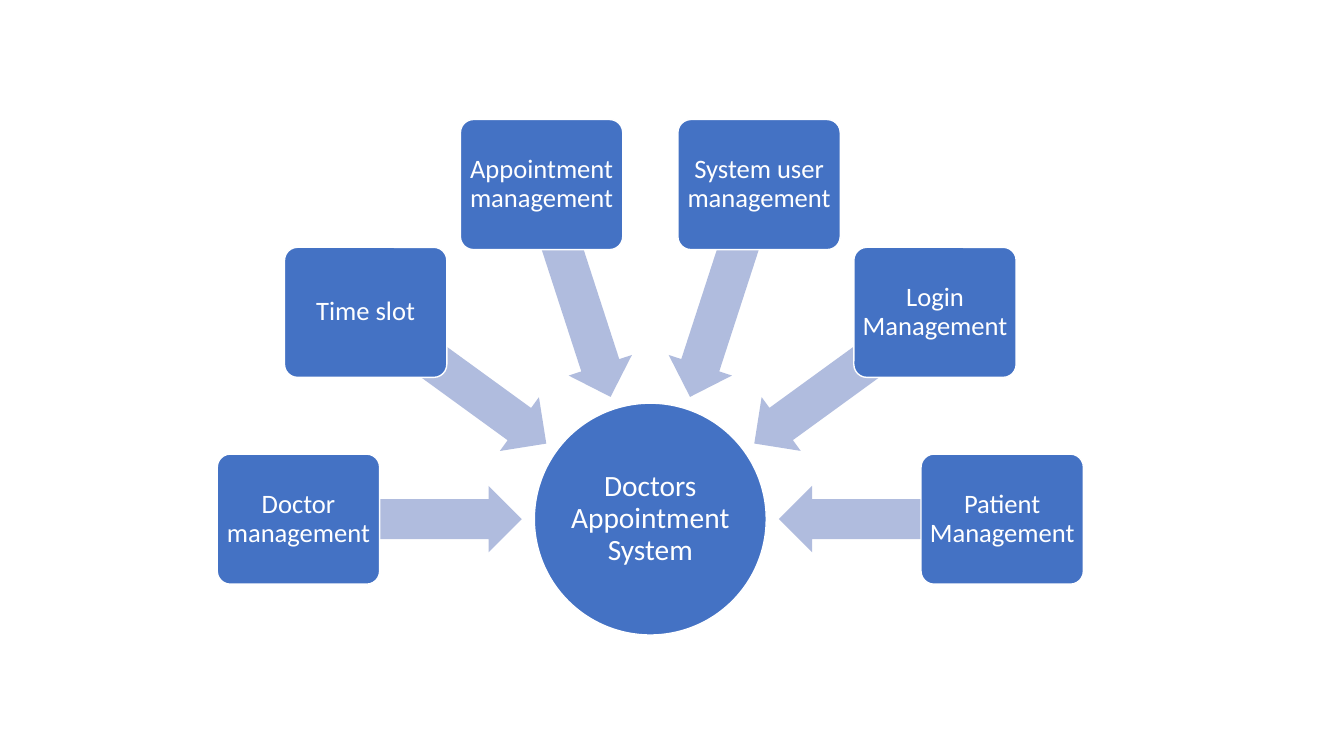
"""Build a slide of six modules pointing at the doctors appointment system."""
from math import cos, radians, sin

from pptx import Presentation
from pptx import util as u
from pptx.dml import color
from pptx.enum import shapes, text

HUB_X, HUB_Y = 6.45, 5.15
MODULE_RADIUS, ARROW_RADIUS = 3.49, 2.38
MODULES = ["Doctor management", "Time slot", "Appointment management",
           "System user management", "Login Management", "Patient Management"]
START_ANGLE, STEP_ANGLE = 180, 36


def rgb(value):
    return color.RGBColor.from_string(value)


def apply(target, values):
    for name, value in values.items():
        setattr(target, name, value)


def around_hub(radius, angle):
    return (HUB_X + radius * cos(radians(angle)),
            HUB_Y + radius * sin(radians(angle)))


class Diagram:
    blue, pale, white = "4472C4", "B0BCDE", "FFFFFF"
    font = "Calibri"

    def __init__(self, slide):
        self.cycle = slide.shapes.add_group_shape()

    def figure(self, kind, centre, size, fill, adjustments=()):
        (x, y), (width, height) = centre, size
        figure = self.cycle.shapes.add_shape(
            kind, u.Inches(x - width / 2), u.Inches(y - height / 2),
            u.Inches(width), u.Inches(height))
        figure.shadow.inherit = False
        figure.fill.solid()
        figure.fill.fore_color.rgb = rgb(fill)
        for index, value in enumerate(adjustments):
            figure.adjustments[index] = value
        return figure

    def label(self, figure, wording, size, inset):
        figure.line.color.rgb = rgb(self.white)
        figure.line.width = u.Pt(1)
        frame = figure.text_frame
        margin = u.Inches(inset)
        apply(frame, {"text": wording, "word_wrap": True,
                      "vertical_anchor": text.MSO_ANCHOR.MIDDLE,
                      "margin_left": margin, "margin_right": margin,
                      "margin_top": margin, "margin_bottom": margin})
        paragraph = frame.paragraphs[0]
        apply(paragraph, {"alignment": text.PP_ALIGN.CENTER, "line_spacing": 0.9})
        font = paragraph.runs[0].font
        apply(font, {"name": self.font, "size": u.Pt(size)})
        font.color.rgb = rgb(self.white)

    def hub(self, wording):
        circle = self.figure(shapes.MSO_SHAPE.OVAL, (HUB_X, HUB_Y), (2.3, 2.3), self.blue)
        self.label(circle, wording, 21, 0.01)

    def arrow(self, angle):
        arrow = self.figure(shapes.MSO_SHAPE.LEFT_ARROW, around_hub(ARROW_RADIUS, angle),
                            (2.21, 0.66), self.pale, (0.6, 0.5))
        arrow.line.fill.background()
        arrow.rotation = angle % 360

    def module(self, wording, angle):
        box = self.figure(shapes.MSO_SHAPE.ROUNDED_RECTANGLE,
                          around_hub(MODULE_RADIUS, angle), (1.61, 1.29), self.blue, (0.1,))
        self.label(box, wording, 19, 0.04)


def main():
    deck = Presentation()
    apply(deck, {"slide_width": u.Inches(13.33), "slide_height": u.Inches(7.5)})
    diagram = Diagram(deck.slides.add_slide(deck.slide_layouts[6]))
    diagram.hub("Doctors Appointment System")
    for index, wording in enumerate(MODULES):
        angle = START_ANGLE + index * STEP_ANGLE
        diagram.arrow(angle)
        diagram.module(wording, angle)
    deck.save("out.pptx")


if __name__ == "__main__":
    main()
